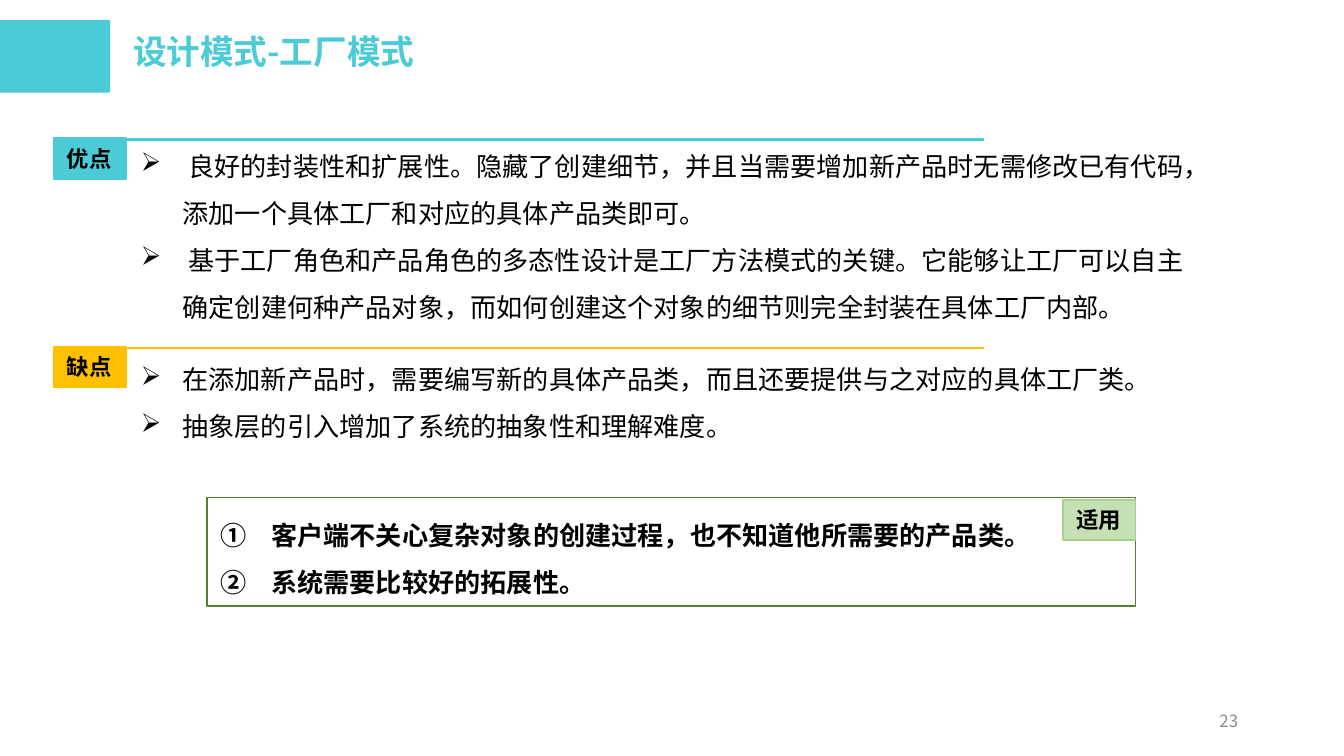
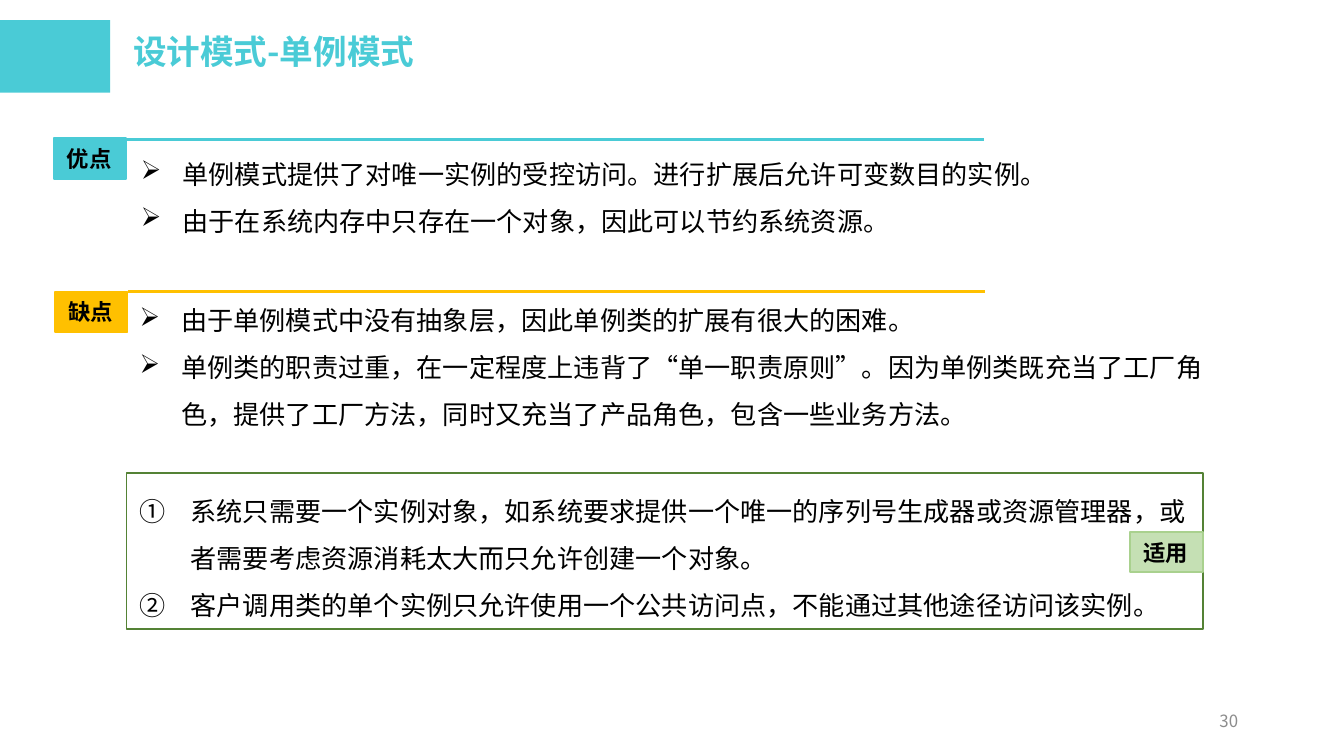
from dataclasses import dataclass
from typing import Any

from lxml.etree import SubElement
from pptx import Presentation
from pptx.dml.color import RGBColor
from pptx.enum.shapes import MSO_CONNECTOR as Connector, MSO_SHAPE as Preset
from pptx.enum.text import MSO_ANCHOR as Anchor, MSO_AUTO_SIZE as AutoSize, PP_ALIGN as Align
from pptx.oxml.ns import qn
from pptx.util import Inches, Pt

TEAL = RGBColor(0x4A, 0xCB, 0xD6)
AMBER = RGBColor(0xFF, 0xC0, 0x00)
GREEN = RGBColor(0x54, 0x82, 0x35)
PALE_GREEN = RGBColor(0xC5, 0xE0, 0xB4)
SOFT_GREEN = RGBColor(0xA9, 0xD1, 0x8E)
BLACK = RGBColor(0x00, 0x00, 0x00)
GRAY = RGBColor(0x8C, 0x8C, 0x8C)

SANS = "Noto Sans CJK SC"
SERIF = "Times New Roman"
SLIDE_WIDTH = Inches(10)
SLIDE_HEIGHT = SLIDE_WIDTH * 9 // 16
BADGE_WIDTH, BADGE_HEIGHT = 0.54, 0.3
RULE_LENGTH = 6.38

TITLE_FORMAT = {"size": Pt(18), "bold": True}
BADGE_FORMAT = {"size": Pt(12), "bold": True}
NUMBER_FORMAT = {"size": Pt(9), "bold": False}
BODY_FORMAT = {"size": Pt(14), "bold": False}
STRONG_FORMAT = {"size": Pt(14), "bold": True}
ARROW_BULLET = ("a:buChar", {"char": "➢"}, 0.31)
CIRCLE_BULLET = ("a:buAutoNum", {"type": "circleNumDbPlain"}, 0.38)


@dataclass(frozen=True)
class Box:
    """A rectangle in inches."""

    left: float
    top: float
    width: float
    height: float


@dataclass(frozen=True)
class Section:
    """A labelled list under a coloured rule."""

    label: str
    color: RGBColor
    badge_left: float
    badge_top: float
    rule_top: float
    body: Box
    items: tuple[str, ...]


@dataclass(frozen=True)
class Usage:
    """The framed list of cases where a pattern applies."""

    frame: Box
    badge_top: float
    text_format: dict[str, Any]
    items: tuple[str, ...]


@dataclass(frozen=True)
class PatternSlide:
    """The content of one design pattern slide."""

    title: str
    number: str
    body_font: str
    sections: tuple[Section, ...]
    usage: Usage


SLIDES = (
    PatternSlide(
        "设计模式-工厂模式", "23", SERIF,
        (
            Section("优点", TEAL, 0.4, 1.03, 1.04, Box(0.95, 0.95, 8.02, 1.51), (
                " 良好的封装性和扩展性。隐藏了创建细节，并且当需要增加新产品时无需修改已有代码，添加一个具体工厂和对应的具体产品类即可。",
                " 基于工厂角色和产品角色的多态性设计是工厂方法模式的关键。它能够让工厂可以自主确定创建何种产品对象，而如何创建这个对象的细节则完全封装在具体工厂内部。",
            )),
            Section("缺点", AMBER, 0.4, 2.58, 2.59, Box(0.95, 2.54, 8.17, 0.81), (
                "在添加新产品时，需要编写新的具体产品类，而且还要提供与之对应的具体工厂类。",
                "抽象层的引入增加了系统的抽象性和理解难度。",
            )),
        ),
        Usage(Box(1.54, 3.7, 6.91, 0.81), 3.72, STRONG_FORMAT, (
            "客户端不关心复杂对象的创建过程，也不知道他所需要的产品类。",
            "系统需要比较好的拓展性。",
        )),
    ),
    PatternSlide(
        "设计模式-单例模式", "30", SANS,
        (
            Section("优点", TEAL, 0.4, 1.03, 1.04, Box(0.95, 1.01, 8.02, 0.81), (
                "单例模式提供了对唯一实例的受控访问。进行扩展后允许可变数目的实例。",
                "由于在系统内存中只存在一个对象，因此可以节约系统资源。",
            )),
            Section("缺点", AMBER, 0.41, 2.17, 2.17, Box(0.94, 2.1, 8.17, 1.51), (
                "由于单例模式中没有抽象层，因此单例类的扩展有很大的困难。",
                "单例类的职责过重，在一定程度上违背了“单一职责原则”。因为单例类既充当了工厂角色，提供了工厂方法，同时又充当了产品角色，包含一些业务方法。",
            )),
        ),
        Usage(Box(0.94, 3.52, 8.01, 1.16), 3.96, BODY_FORMAT, (
            "系统只需要一个实例对象，如系统要求提供一个唯一的序列号生成器或资源管理器，或者需要考虑资源消耗太大而只允许创建一个对象。",
            "客户调用类的单个实例只允许使用一个公共访问点，不能通过其他途径访问该实例。",
        )),
    ),
)


def lengths(box: Box) -> tuple[Inches, ...]:
    """Return the position and size of a box as lengths."""
    return tuple(Inches(value) for value in (box.left, box.top, box.width, box.height))


def set_attributes(target: Any, values: dict[str, Any]) -> None:
    """Set each named attribute of an object."""
    for name, value in values.items():
        setattr(target, name, value)


def add_run(paragraph: Any, text: str, text_format: dict[str, Any],
            color: RGBColor = BLACK, font: str = SANS) -> None:
    """Add formatted text to a paragraph."""
    run = paragraph.add_run()
    run.text = text
    set_attributes(run.font, text_format)
    run.font.color.rgb = color
    run.font.name = font
    SubElement(run.font._element, qn("a:ea"), typeface=SANS)


def add_list(shape: Any, items: tuple[str, ...], bullet: tuple[str, dict[str, str], float],
             text_format: dict[str, Any], font: str = SANS) -> None:
    """Fill a shape with a bulleted or numbered list."""
    tag, attributes, indent = bullet
    frame = shape.text_frame
    set_attributes(frame, {"word_wrap": True, "auto_size": AutoSize.SHAPE_TO_FIT_TEXT,
                           "vertical_anchor": Anchor.TOP})
    for index, item in enumerate(items):
        paragraph = frame.add_paragraph() if index else frame.paragraphs[0]
        set_attributes(paragraph, {"line_spacing": 1.5, "alignment": Align.LEFT})
        properties = paragraph._p.get_or_add_pPr()
        properties.set("marL", str(Inches(indent)))
        properties.set("indent", str(-Inches(indent)))
        SubElement(properties, qn(tag), attributes)
        add_run(paragraph, item, text_format, font=font)


def add_rectangle(slide: Any, box: Box, fill: RGBColor | None,
                  line: RGBColor | None, line_width: float = 1) -> Any:
    """Add a flat rectangle with an optional fill and outline."""
    shape = slide.shapes.add_shape(Preset.RECTANGLE, *lengths(box))
    shape.shadow.inherit = False
    if fill is None:
        shape.fill.background()
    else:
        shape.fill.solid()
        shape.fill.fore_color.rgb = fill
    if line is None:
        shape.line.fill.background()
    else:
        shape.line.color.rgb = line
        shape.line.width = Pt(line_width)
    return shape


def add_badge(slide: Any, left: float, top: float, label: str,
              fill: RGBColor, line: RGBColor) -> None:
    """Add a small label."""
    badge = add_rectangle(slide, Box(left, top, BADGE_WIDTH, BADGE_HEIGHT), fill, line)
    frame = badge.text_frame
    set_attributes(frame, {"word_wrap": False, "auto_size": AutoSize.SHAPE_TO_FIT_TEXT,
                           "vertical_anchor": Anchor.TOP})
    frame.paragraphs[0].alignment = Align.LEFT
    add_run(frame.paragraphs[0], label, BADGE_FORMAT)


def add_section(slide: Any, section: Section, font: str) -> None:
    """Add a section's list, badge and rule."""
    body = slide.shapes.add_textbox(*lengths(section.body))
    add_list(body, section.items, ARROW_BULLET, BODY_FORMAT, font)
    add_badge(slide, section.badge_left, section.badge_top, section.label,
              section.color, section.color)
    start = section.badge_left + BADGE_WIDTH
    rule = slide.shapes.add_connector(
        Connector.STRAIGHT, Inches(start), Inches(section.rule_top),
        Inches(start + RULE_LENGTH), Inches(section.rule_top))
    rule.line.color.rgb = section.color
    rule.line.width = Pt(1.5)
    SubElement(rule._element.spPr, qn("a:effectLst"))


def add_usage(slide: Any, usage: Usage) -> None:
    """Add the framed usage list and its badge."""
    frame = add_rectangle(slide, usage.frame, None, GREEN, 0.75)
    add_list(frame, usage.items, CIRCLE_BULLET, usage.text_format)
    badge_left = usage.frame.left + usage.frame.width - BADGE_WIDTH
    add_badge(slide, badge_left, usage.badge_top, "适用", PALE_GREEN, SOFT_GREEN)


def add_header(slide: Any, title: str) -> None:
    """Add the corner band and format the title."""
    add_rectangle(slide, Box(0, 0.15, 0.82, 0.54), TEAL, None)
    placeholder = slide.shapes.title
    left, top, width, height = lengths(Box(0.89, 0.24, 4.02, 0.46))
    set_attributes(placeholder, {"left": left, "top": top, "width": width, "height": height})
    frame = placeholder.text_frame
    set_attributes(frame, {"word_wrap": True, "auto_size": AutoSize.NONE,
                           "vertical_anchor": Anchor.TOP})
    paragraph = frame.paragraphs[0]
    set_attributes(paragraph, {"alignment": Align.LEFT, "line_spacing": 0.8,
                               "space_before": Pt(7.5)})
    add_run(paragraph, title, TITLE_FORMAT, TEAL)


def add_page_number(slide: Any, number: str) -> None:
    """Add the page number at the lower right."""
    frame = slide.shapes.add_textbox(*lengths(Box(7.06, 5.21, 2.25, 0.3))).text_frame
    set_attributes(frame, {"word_wrap": True, "vertical_anchor": Anchor.MIDDLE})
    frame.paragraphs[0].alignment = Align.RIGHT
    add_run(frame.paragraphs[0], number, NUMBER_FORMAT, GRAY)


def main() -> None:
    """Build and save the presentation."""
    presentation = Presentation()
    presentation.slide_width = SLIDE_WIDTH
    presentation.slide_height = SLIDE_HEIGHT
    for content in SLIDES:
        slide = presentation.slides.add_slide(presentation.slide_layouts[5])
        add_header(slide, content.title)
        for section in content.sections:
            add_section(slide, section, content.body_font)
        add_usage(slide, content.usage)
        add_page_number(slide, content.number)
    presentation.save("out.pptx")


if __name__ == "__main__":
    main()
